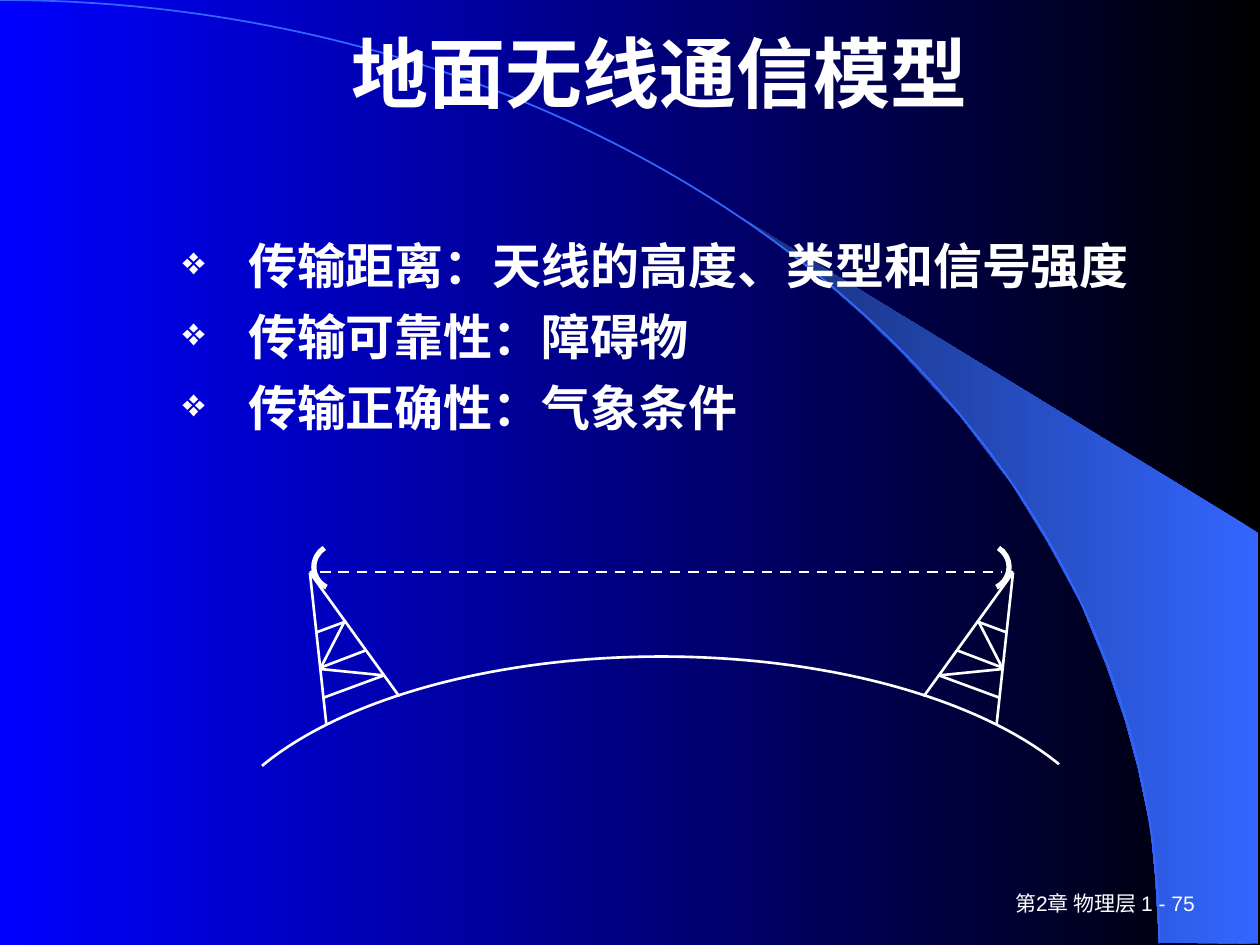
from pptx import Presentation
from pptx.dml.color import RGBColor
from pptx.enum import dml, shapes, text
from pptx.oxml import parse_xml
from pptx.oxml.ns import nsdecls, qn
from pptx.util import Pt

COLORS = {"night": "000000", "blue": "0000FF", "sky": "3366FF",
          "shade": "172F75", "white": "FFFFFF"}
MIRROR_SUM = 756  # x of a left tower point plus x of its right twin

BEAM = [(662.4, 538.6), (719.3, 539.3), (719.3, 304.6), (424.1, 124.6),
        (449.3, 143.3), (470.2, 159.8), (493.2, 180), (515.5, 201.6),
        (548.6, 237.6), (578.2, 276.5), (599, 310.3), (617.8, 344.9),
        (632.2, 380.2), (643, 411.8), (650.2, 438.5), (657.4, 472.3),
        (660.2, 501.1)]

APEX = (177.1, 327.2)
TOWER = [
    (APEX, (186.5, 414)), (APEX, (228.2, 398)),               # legs
    ((198, 355), (180.7, 361.4)),                             # rungs
    ((209.5, 371.5), (182.9, 381.6)),
    ((219.6, 385.9), (184.3, 398.9)),
    ((196.6, 355.7), (182.9, 382.3)),                         # braces
    ((182.9, 382.3), (218.9, 385.9)),
    (APEX, (180, 326.2)),                                     # dish mount
]

BULLETS = ["传输距离：天线的高度、类型和信号强度",
           "传输可靠性：障碍物",
           "传输正确性：气象条件"]


def color(name):
    return RGBColor.from_string(COLORS[name])


def fill_gradient(fill, *names):
    fill.gradient()
    fill.gradient_angle = 180
    for stop, name in zip(fill.gradient_stops, names):
        stop.color.rgb = color(name)


def add_beam(page):
    points = [(Pt(x), Pt(y)) for x, y in BEAM]
    builder = page.shapes.build_freeform(*points[0], scale=1.0)
    builder.add_line_segments(points[1:], close=True)
    beam = builder.convert_to_shape()
    beam.shadow.inherit = False
    fill_gradient(beam.fill, "sky", "shade")
    beam.line.fill.background()


def add_arc(page, center, radii, angles, line_color, width):
    """Draw an elliptical arc clockwise between two angles in degrees."""
    (x, y), (rx, ry) = center, radii
    arc = page.shapes.add_shape(shapes.MSO_SHAPE.ARC, Pt(x - rx), Pt(y - ry),
                                Pt(2 * rx), Pt(2 * ry))
    for index, angle in enumerate(angles):
        arc.adjustments[index] = angle * 0.6  # 60000 units a degree, scaled by 100000
    arc.shadow.inherit = False
    arc.fill.background()
    arc.line.color.rgb = color(line_color)
    arc.line.width = Pt(width)


def add_line(page, start, end, dashed=False):
    line = page.shapes.add_connector(shapes.MSO_CONNECTOR.STRAIGHT,
                                     *[Pt(value) for value in (*start, *end)])
    line.line.color.rgb = color("white")
    line.line.width = Pt(1.5)
    if dashed:
        line.line.dash_style = dml.MSO_LINE.DASH
    line._element.spPr.append(parse_xml(f"<a:effectLst {nsdecls('a')}/>"))


def add_tower(page, mirrored):
    def place(point):
        return (MIRROR_SUM - point[0], point[1]) if mirrored else point

    for start, end in TOWER:
        add_line(page, place(start), place(end))
    angles = (304, 62) if mirrored else (118, 236)
    add_arc(page, place((192.7, 324)), (13.3, 13), angles, "white", 3)


def add_text(page, frame, lines, size, font, bold=False, align=None,
             anchor=text.MSO_ANCHOR.MIDDLE):
    box = page.shapes.add_textbox(*[Pt(value) for value in frame])
    body = box.text_frame
    body.word_wrap = True
    body.vertical_anchor = anchor
    body.text = "\n".join(lines)
    for para in body.paragraphs:
        para.alignment = align
        for span in para.runs:
            span.font.size = Pt(size)
            span.font.name = font
            span.font.bold = bold
            span.font.color.rgb = color("white")
    return box


def add_bullets(box):
    for index, para in enumerate(box.text_frame.paragraphs):
        if index:
            para.space_before = Pt(7)
        props = para._p.get_or_add_pPr()
        props.set("marL", str(Pt(37.5)))
        props.set("indent", str(Pt(-37.5)))
        for xml in (f'<a:buClr {nsdecls("a")}><a:srgbClr val="{COLORS["white"]}"/></a:buClr>',
                    f'<a:buSzPct {nsdecls("a")} val="80000"/>',
                    f'<a:buChar {nsdecls("a")} char="❖"/>'):
            props.append(parse_xml(xml))


def main():
    deck = Presentation()
    deck.slide_width, deck.slide_height = Pt(720), Pt(540)
    page = deck.slides.add_slide(deck.slide_layouts[6])

    # Backdrop
    fill_gradient(page.background.fill, "night", "blue")
    add_beam(page)
    add_arc(page, (0, 539), (662.4, 539), (270, 0), "sky", 1)

    # Text
    add_text(page, (540, 504, 149.8, 23.8), ["第2章 物理层 1 - 75"], 12, "Arial",
             align=text.PP_ALIGN.RIGHT)
    add_text(page, (71.3, 15.1, 612, 51.8), ["地面无线通信模型"], 44, "Arial",
             bold=True, align=text.PP_ALIGN.CENTER)
    points = add_text(page, (97.2, 131, 569.5, 131.8), BULLETS, 28,
                      "Times New Roman", bold=True, anchor=text.MSO_ANCHOR.TOP)
    add_bullets(points)

    # Ground, towers and line of sight
    add_arc(page, (378, 498), (262.1, 122.8), (194.8, 344.9), "white", 1.5)
    for mirrored in (False, True):
        add_tower(page, mirrored)
    add_line(page, (182.9, 326.9), (572.4, 326.9), dashed=True)

    deck.save("out.pptx")


if __name__ == "__main__":
    main()
